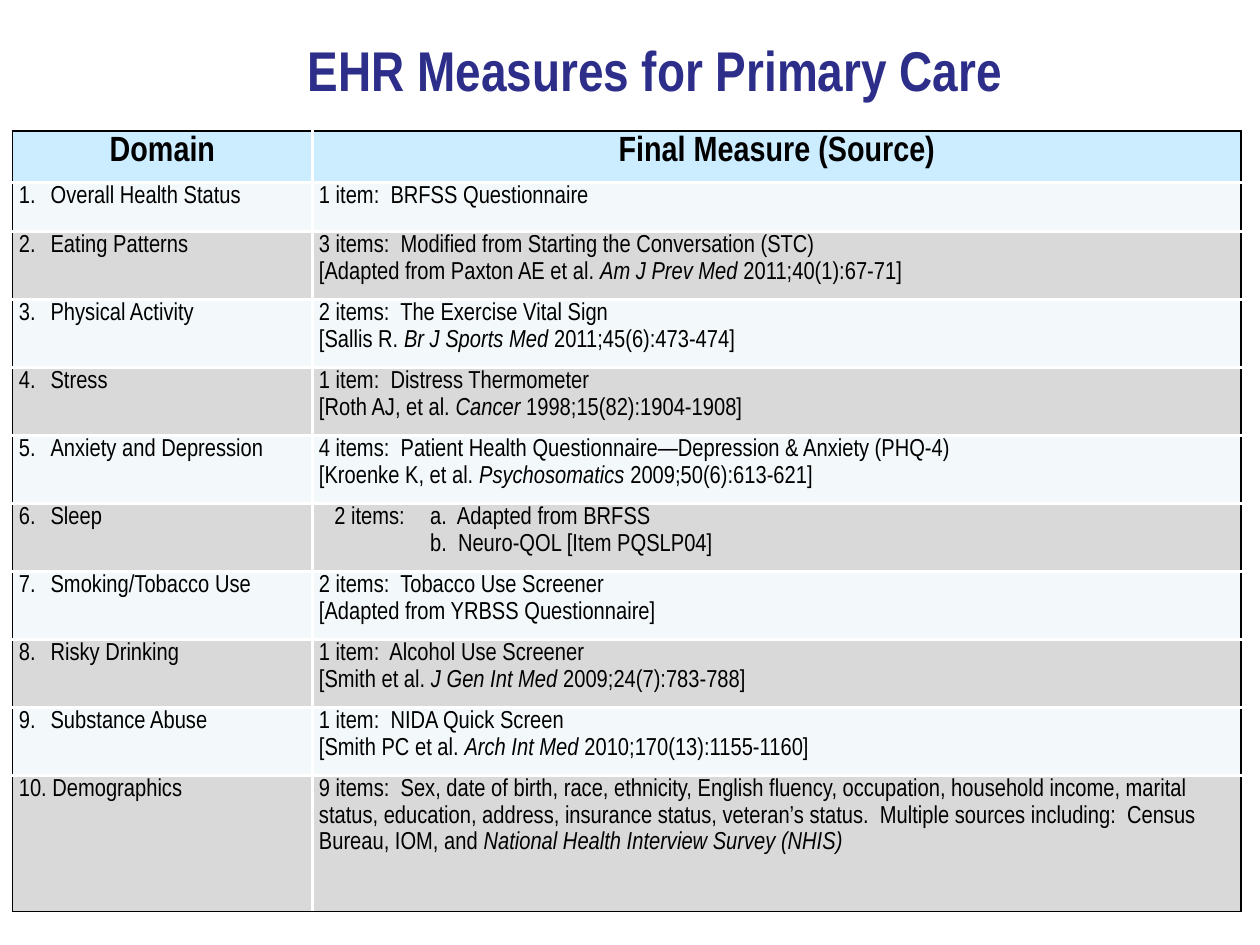
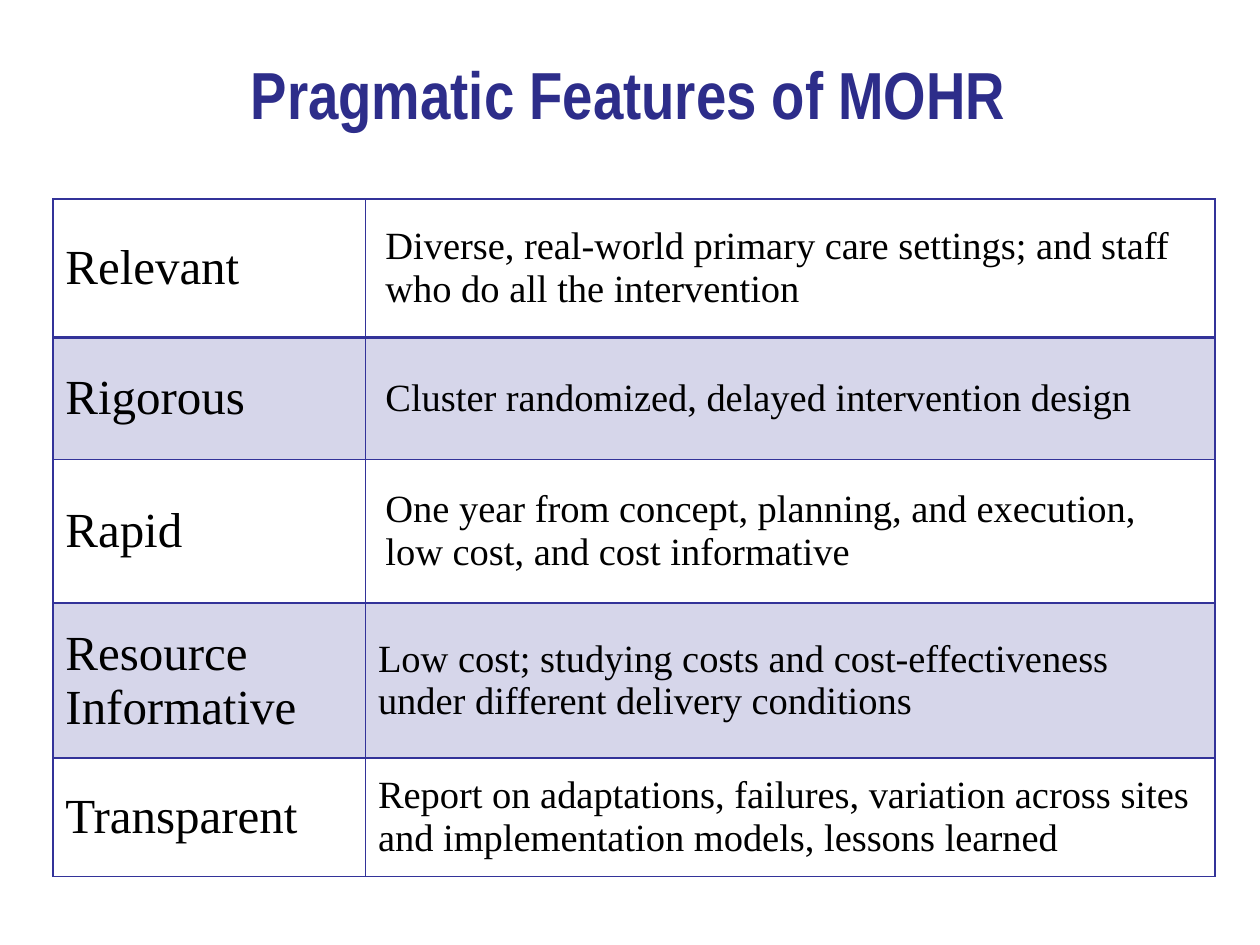
"""Build two slides of tables on primary care measures and trial features."""
from lxml import etree
from pptx import Presentation
from pptx.dml.color import RGBColor
from pptx.enum.text import MSO_ANCHOR, MSO_AUTO_SIZE, PP_ALIGN
from pptx.oxml.ns import qn
from pptx.util import Cm, Pt

CENTER, LEFT = PP_ALIGN.CENTER, PP_ALIGN.LEFT
TOP, MIDDLE = MSO_ANCHOR.TOP, MSO_ANCHOR.MIDDLE
NO_FIT = MSO_AUTO_SIZE.NONE

BLACK = RGBColor(0x00, 0x00, 0x00)
WHITE = RGBColor(0xFF, 0xFF, 0xFF)
NAVY = RGBColor(0x2D, 0x2D, 0x8A)
INDIGO = RGBColor(0x33, 0x33, 0x99)
SKY = RGBColor(0xCC, 0xEC, 0xFF)
PALE = RGBColor(0xF3, 0xF9, 0xFA)
GRAY = RGBColor(0xD9, 0xD9, 0xD9)

SANS, SERIF = "Arial Narrow", "Times New Roman"

HEADS = ("Domain", "Final Measure (Source)")
MEASURES = [
    ("1.\tOverall Health Status", "1 item:  BRFSS Questionnaire"),
    ("2.\tEating Patterns",
     "3 items:  Modified from Starting the Conversation (STC)\n"
     "[Adapted from Paxton AE et al. *Am J Prev Med* 2011;40(1):67-71]"),
    ("3.\tPhysical Activity",
     "2 items:  The Exercise Vital Sign\n"
     "[Sallis R. *Br J Sports Med* 2011;45(6):473-474]"),
    ("4.\tStress",
     "1 item:  Distress Thermometer\n"
     "[Roth AJ, et al. *Cancer* 1998;15(82):1904-1908]"),
    ("5.\tAnxiety and Depression",
     "4 items:  Patient Health Questionnaire—Depression & Anxiety (PHQ-4)\n"
     "[Kroenke K, et al. *Psychosomatics* 2009;50(6):613-621]"),
    ("6.\tSleep",
     "2 items:  \ta.  Adapted from BRFSS\n\tb.  Neuro-QOL [Item PQSLP04]"),
    ("7.\tSmoking/Tobacco Use",
     "2 items:  Tobacco Use Screener\n[Adapted from YRBSS Questionnaire]"),
    ("8.\tRisky Drinking",
     "1 item:  Alcohol Use Screener\n"
     "[Smith et al. *J Gen Int Med* 2009;24(7):783-788]"),
    ("9.\tSubstance Abuse",
     "1 item:  NIDA Quick Screen\n"
     "[Smith PC et al. *Arch Int Med* 2010;170(13):1155-1160]"),
    ("10. Demographics",
     "9 items:  Sex, date of birth, race, ethnicity, English fluency, "
     "occupation, household income, marital status, education, address, "
     "insurance status, veteran’s status.  Multiple sources including:  "
     "Census Bureau, IOM, and *National Health Interview Survey (NHIS)*"),
]
FEATURES = [
    ("Relevant", "Diverse, real-world primary care settings; and staff "
     "who do all the intervention"),
    ("Rigorous", "Cluster randomized, delayed intervention design"),
    ("Rapid", "One year from concept, planning, and execution, "
     "low cost, and cost informative"),
    ("Resource Informative", "Low cost; studying costs and "
     "cost-effectiveness under different delivery conditions"),
    ("Transparent", "Report on adaptations, failures, variation across "
     "sites and implementation models, lessons learned"),
]


class Deck:
    def __init__(self):
        self.prs = Presentation()
        self.prs.slide_width, self.prs.slide_height = Cm(25.4), Cm(19.05)
        self.slide = None

    def title(self, text, box, size):
        self.slide = self.prs.slides.add_slide(self.prs.slide_layouts[5])
        head = self.slide.shapes.title
        head.left, head.top, head.width, head.height = map(Cm, box)
        frame = head.text_frame
        frame.text = text
        frame.word_wrap, frame.auto_size = True, NO_FIT
        frame.vertical_anchor = MIDDLE
        para = frame.paragraphs[0]
        para.alignment = CENTER
        self.style(para.runs[0], SANS, size, NAVY, True)

    def style(self, run, face, size, color=BLACK, bold=False):
        font = run.font
        font.name, font.size, font.bold = face, Pt(size), bold
        font.color.rgb = color

    def table(self, left, top, cols, rows, outer, inner):
        grid = self.slide.shapes.add_table(
            len(rows), len(cols), Cm(left), Cm(top),
            Cm(sum(cols)), Cm(sum(rows))).table
        grid.first_row = grid.horz_banding = False
        for col, width in zip(grid.columns, cols):
            col.width = Cm(width)
        for row, height in zip(grid.rows, rows):
            row.height = Cm(height)
        for r in range(len(rows)):
            for c in range(len(cols)):
                rims = {"L": c == 0, "R": c == len(cols) - 1,
                        "T": r == 0, "B": r == len(rows) - 1}
                for side, rim in rims.items():
                    self.edge(grid.cell(r, c), side, *(outer if rim else inner))
        return grid

    def edge(self, cell, side, color, width):
        props = cell._tc.get_or_add_tcPr()
        line = etree.SubElement(props, qn(f"a:ln{side}"), w=str(Pt(width)))
        fill = etree.SubElement(line, qn("a:solidFill"))
        etree.SubElement(fill, qn("a:srgbClr"), val=str(color))

    def fill(self, cell, color, alpha=100):
        if color is None:
            cell.fill.background()
            return
        cell.fill.solid()
        cell.fill.fore_color.rgb = color
        if alpha < 100:
            tint = cell._tc.tcPr.find(qn("a:solidFill"))[0]
            etree.SubElement(tint, qn("a:alpha"), val=str(alpha * 1000))

    def label(self, cell, text, face, size, bold=False, align=LEFT,
              anchor=TOP, pad=(0.25, 0.13), space=1.0, indent=(0, 0)):
        cell.margin_left = cell.margin_right = Cm(pad[0])
        cell.margin_top = cell.margin_bottom = Cm(pad[1])
        cell.vertical_anchor = anchor
        frame = cell.text_frame
        for i, line in enumerate(text.split("\n")):
            para = frame.add_paragraph() if i else frame.paragraphs[0]
            para.alignment, para.line_spacing = align, space
            props = para._p.get_or_add_pPr()
            props.set("marL", str(Cm(indent[0])))
            props.set("indent", str(Cm(indent[1])))
            for j, part in enumerate(line.split("*")):
                if part:
                    run = para.add_run()
                    run.text = part
                    self.style(run, face, size, bold=bold)
                    run.font.italic = j % 2 == 1


def measures(deck):
    deck.title("EHR Measures for Primary Care ", (3.18, -0.2, 20.32, 3.18), 32)
    rows = [1.04, 0.99] + [1.37] * 8 + [2.74]
    grid = deck.table(0.25, 2.64, (6.05, 18.72), rows,
                      (BLACK, 1), (WHITE, 2.25))
    look = dict(face=SANS, pad=(0.13, 0), space=1.15)
    for c, text in enumerate(HEADS):
        cell = grid.cell(0, c)
        deck.fill(cell, SKY)
        deck.label(cell, text, size=20, bold=True, align=CENTER, **look)
    for r, pair in enumerate(MEASURES, 1):
        hang = (2.24, -1.93) if "\t" in pair[1] else (0, 0)
        for c, indent in enumerate(((0.64, -0.64), hang)):
            cell = grid.cell(r, c)
            deck.fill(cell, PALE if r % 2 else GRAY)
            deck.label(cell, pair[c], size=14, indent=indent, **look)


def features(deck):
    deck.title("Pragmatic Features of MOHR", (1.24, 0.84, 22.86, 2.06), 38)
    rule = (INDIGO, 1)
    grid = deck.table(1.07, 4.01, (6.3, 17.12),
                      (2.79, 2.46, 2.9, 3.12, 2.39), rule, rule)
    for r, pair in enumerate(FEATURES):
        shift = 0.15 if r < 3 else 0
        for c, (size, left) in enumerate(((28, 0), (22, shift))):
            cell = grid.cell(r, c)
            deck.fill(cell, INDIGO if r % 2 else None, 20)
            deck.label(cell, pair[c], SERIF, size, anchor=MIDDLE,
                       indent=(left, 0))
            if r == 0:
                cell._tc.tcPr.find(qn("a:lnB")).set("w", str(Pt(2)))


def main():
    deck = Deck()
    measures(deck)
    features(deck)
    deck.prs.save("out.pptx")


if __name__ == "__main__":
    main()
